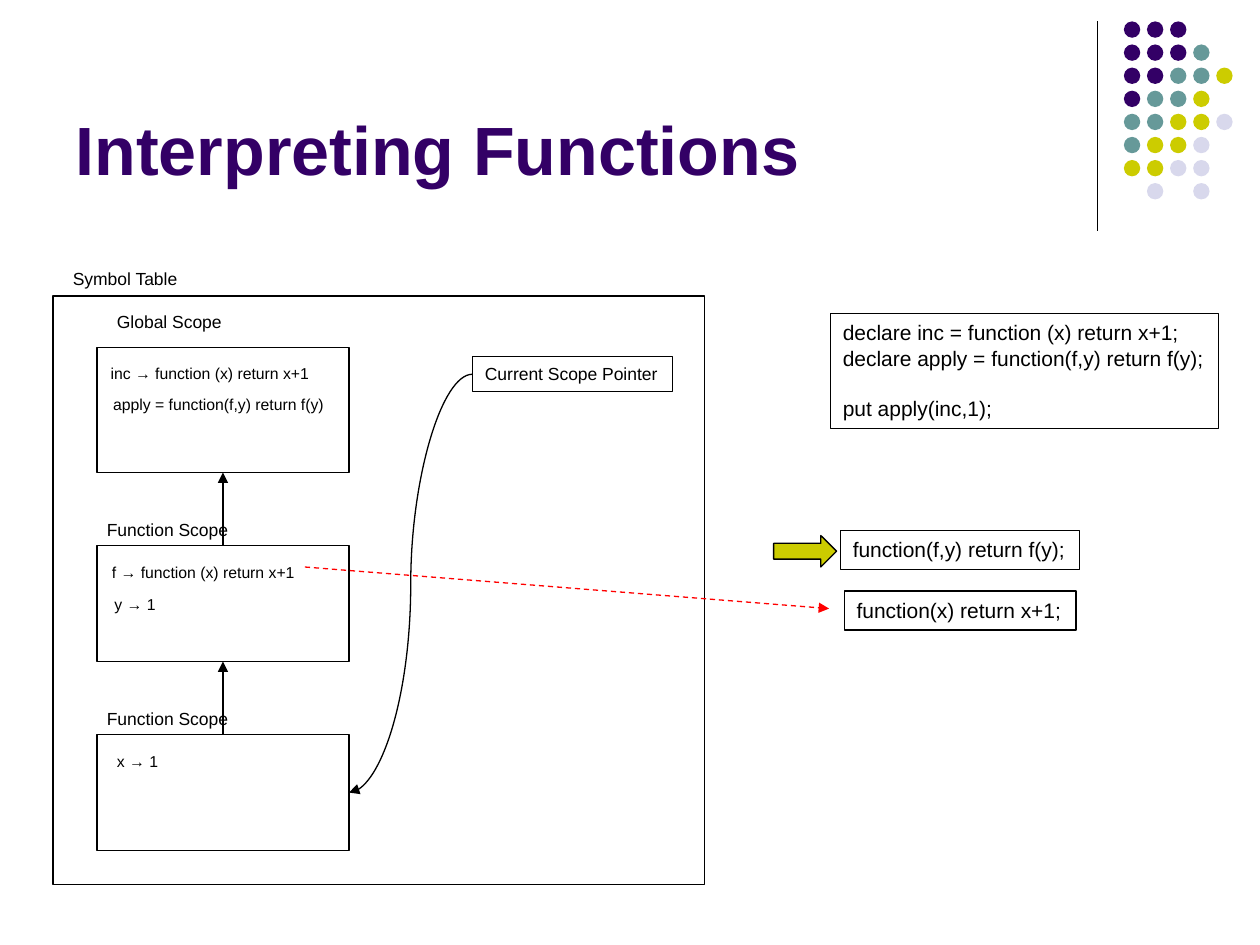
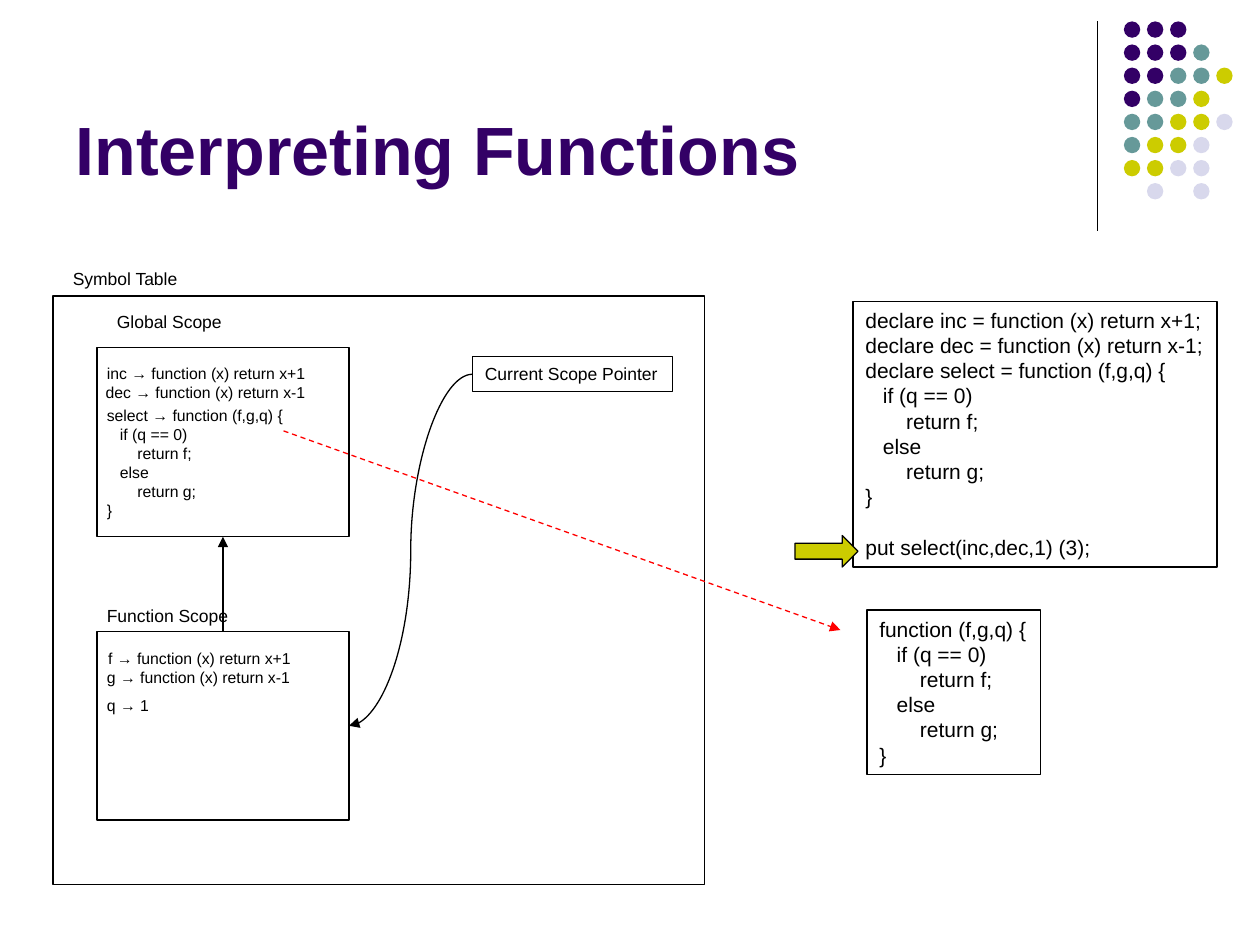
from lxml import etree
from pptx import Presentation
from pptx.dml.color import RGBColor
from pptx.enum.dml import MSO_LINE
from pptx.enum.shapes import MSO_CONNECTOR as CONN, MSO_SHAPE as SHAPE
from pptx.enum.text import MSO_ANCHOR as ANCHOR, MSO_AUTO_SIZE as AUTO, PP_ALIGN as ALIGN
from pptx.oxml.ns import qn
from pptx.util import Inches, Pt

FONT = "Arial"
COLORS = {k: RGBColor.from_string(v) for k, v in {
    "purple": "330066", "teal": "669999", "olive": "CCCC00",
    "lilac": "D8D8EC", "black": "000000", "red": "FF0000"}.items()}
DOT_COLORS = {"P": "purple", "T": "teal", "O": "olive", "L": "lilac"}
DOT_ROWS = ["PPP", "PPPT", "PPTTO", "PTTO", "TTOOL", "TOOL", "OOLL", " L L"]
DOT_PITCH = 0.55 / 3

SELECT_BODY = ["   if (q == 0)", "       return f;", "   else", "       return g;", "}"]

SLIDES = [
    {
        # Each scope: top, height, entries as (left, top, width, lines)
        "scopes": [
            (2.76, 0.99, [(0.78, 2.84, 1.77, ["inc → function (x) return x+1"]),
                          (0.8, 3.08, 1.87, ["apply = function(f,y) return f(y)"])]),
            (4.33, 0.92, [(0.79, 4.42, 1.65, ["f → function (x) return x+1"]),
                          (0.81, 4.67, 0.53, ["y → 1"])]),
            (5.83, 0.92, [(0.83, 5.92, 0.53, ["x → 1"])]),
        ],
        "code": [
            (6.59, 2.49, 3.08, 0.91, ["declare inc = function (x) return x+1;",
                                      "declare apply = function(f,y) return f(y);",
                                      "", "put apply(inc,1);"]),
            (6.67, 4.21, 1.9, 0.31, ["function(f,y) return f(y);"]),
            (6.7, 4.69, 1.84, 0.31, ["function(x) return x+1;"]),
        ],
        "marker_left": 6.14,
        "lookup": (2.42, 4.5, 6.58, 4.83),
    },
    {
        "scopes": [
            (2.76, 1.5, [(0.75, 2.84, 1.77, ["inc → function (x) return x+1"]),
                         (0.74, 2.99, 1.8, ["dec → function (x) return x-1"]),
                         (0.75, 3.17, 1.6, ["select → function (f,g,q) {"] + SELECT_BODY)]),
            (5.01, 1.5, [(0.76, 5.1, 1.65, ["f → function (x) return x+1"]),
                         (0.75, 5.25, 1.65, ["g → function (x) return x-1"]),
                         (0.75, 5.47, 0.55, ["q → 1"])]),
        ],
        "code": [
            (6.77, 2.39, 2.89, 2.11, ["declare inc = function (x) return x+1;",
                                      "declare dec = function (x) return x-1;",
                                      "declare select = function (f,g,q) {"] + SELECT_BODY
             + ["", "put select(inc,dec,1) (3);"]),
            (6.88, 4.84, 1.38, 1.31, ["function (f,g,q) {"] + SELECT_BODY),
        ],
        "marker_left": 6.31,
        "lookup": (2.25, 3.42, 6.67, 5),
    },
]


def add_box(s, left, top, width, height, lines=(), size=10, outlined=False):
    """Add left-aligned text, optionally framed; an empty line becomes space before the next."""
    at = [Inches(v) for v in (left, top, width, height)]
    if outlined:
        sp = s.shapes.add_shape(SHAPE.RECTANGLE, *at)
        sp.shadow.inherit = False
        sp.fill.background()
        sp.line.color.rgb = COLORS["black"]
        sp.line.width = Pt(0.75)
    else:
        sp = s.shapes.add_textbox(*at)
    tf = sp.text_frame
    tf.vertical_anchor = ANCHOR.TOP
    if lines:
        tf.word_wrap = False
        tf.auto_size = AUTO.SHAPE_TO_FIT_TEXT
    for i, line in enumerate(lines):
        if not line:
            continue
        p = tf.add_paragraph() if i else tf.paragraphs[0]
        p.text = line
        p.alignment = ALIGN.LEFT
        p.font.name, p.font.size = FONT, Pt(size)
        p.font.color.rgb = COLORS["black"]
        if i and not lines[i - 1]:
            p.space_before = Pt(size * 1.2)
    return sp


def add_line(s, x1, y1, x2, y2, kind=CONN.STRAIGHT, color="black", arrow=True):
    c = s.shapes.add_connector(kind, *[Inches(v) for v in (x1, y1, x2, y2)])
    c.line.color.rgb = COLORS[color]
    c.line.width = Pt(0.75)
    props = c.element.spPr
    if arrow:
        etree.SubElement(props.get_or_add_ln(), qn("a:tailEnd"), type="triangle")
    etree.SubElement(props, qn("a:effectLst"))
    return c


prs = Presentation()
prs.slide_width, prs.slide_height = Inches(10), Inches(7.5)

for content in SLIDES:
    s = prs.slides.add_slide(prs.slide_layouts[5])

    # Corner decoration
    add_line(s, 8.71, 0.17, 8.71, 1.83, arrow=False)
    for row, dots in enumerate(DOT_ROWS):
        for col, key in enumerate(dots):
            if key == " ":
                continue
            dot = s.shapes.add_shape(
                SHAPE.OVAL, Inches(8.92 + col * DOT_PITCH), Inches(0.17 + row * DOT_PITCH),
                Inches(0.13), Inches(0.13))
            dot.shadow.inherit = False
            dot.fill.solid()
            dot.fill.fore_color.rgb = COLORS[DOT_COLORS[key]]
            dot.line.fill.background()

    # Title
    title = s.shapes.title
    title.left, title.top = Inches(0.5), Inches(0.13)
    title.width, title.height = Inches(8.25), Inches(1.42)
    tf = title.text_frame
    tf.text = "Interpreting Functions"
    tf.vertical_anchor = ANCHOR.BOTTOM
    p = tf.paragraphs[0]
    p.alignment = ALIGN.LEFT
    p.font.name, p.font.size, p.font.bold = FONT, Pt(39), True
    p.font.color.rgb = COLORS["purple"]

    # Symbol table with its chain of scopes
    add_box(s, 0.42, 2.35, 5.17, 4.67, outlined=True)
    add_box(s, 0.48, 2.08, 1.05, 0.27, ["Symbol Table"])
    add_box(s, 0.83, 2.42, 1.03, 0.27, ["Global Scope"])
    parent = None
    for top, height, entries in content["scopes"]:
        scope = add_box(s, 0.77, top, 2, height, outlined=True)
        if parent:
            add_box(s, 0.75, top - 0.26, 1.2, 0.27, ["Function Scope"])
            link = add_line(s, 1.77, top, 1.77, top - 0.5)
            link.begin_connect(scope, 0)
            link.end_connect(parent, 2)
        for left, entry_top, width, lines in entries:
            add_box(s, left, entry_top, width, 0.1 + 0.15 * len(lines), lines, size=9)
        parent = scope

    # Pointer to the innermost scope
    pointer = add_box(s, 3.75, 2.83, 1.59, 0.28, ["Current Scope Pointer"], outlined=True)
    curve = add_line(s, 3.75, 2.97, 2.77, top + height / 2, CONN.CURVE)
    curve.begin_connect(pointer, 1)
    curve.end_connect(scope, 3)

    # Program text, execution marker and function lookup
    for left, top, width, height, lines in content["code"]:
        add_box(s, left, top, width, height, lines, size=12, outlined=True)
    marker = s.shapes.add_shape(SHAPE.RIGHT_ARROW, Inches(content["marker_left"]),
                                Inches(4.25), Inches(0.5), Inches(0.25))
    marker.shadow.inherit = False
    marker.fill.solid()
    marker.fill.fore_color.rgb = COLORS["olive"]
    marker.line.color.rgb = COLORS["black"]
    marker.line.width = Pt(0.75)
    lookup = add_line(s, *content["lookup"], color="red")
    lookup.line.dash_style = MSO_LINE.DASH

prs.save("out.pptx")
